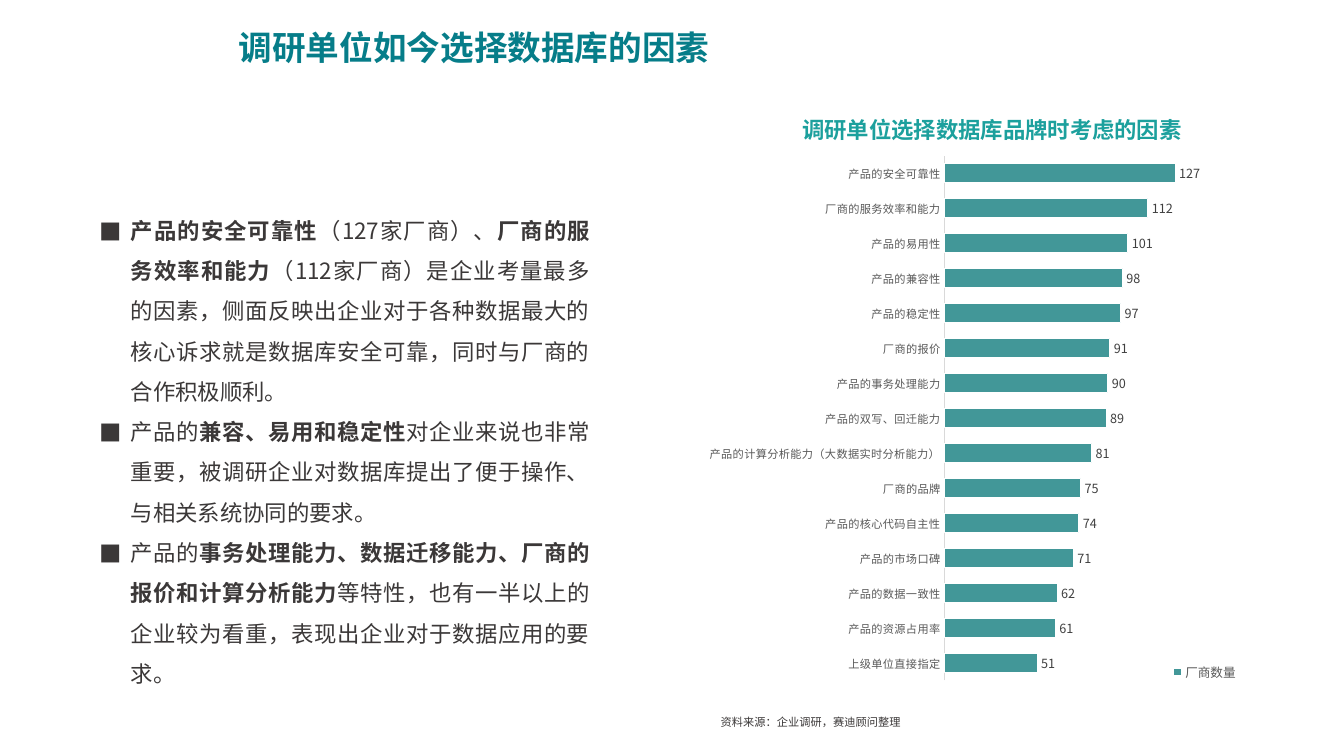
"""Build the slide on the factors behind database selection, with its bar chart."""
from dataclasses import dataclass

from lxml import etree
from pptx import Presentation
from pptx.chart.data import CategoryChartData
from pptx.dml.color import RGBColor
from pptx.enum.chart import XL_CHART_TYPE as ChartType, XL_LABEL_POSITION as LabelPosition
from pptx.enum.chart import XL_LEGEND_POSITION as LegendPosition, XL_TICK_LABEL_POSITION as TickLabels
from pptx.enum.chart import XL_TICK_MARK as TickMark
from pptx.enum.text import MSO_ANCHOR as Anchor, MSO_AUTO_SIZE as AutoSize, PP_ALIGN as Align
from pptx.oxml import parse_xml
from pptx.oxml.ns import nsdecls, qn
from pptx.util import Inches, Pt


@dataclass(frozen=True)
class Theme:
    font: str = "Noto Sans CJK SC"
    heading: str = "067D89"
    chart_heading: str = "1CA09D"
    body: str = "3B3838"
    bar: str = "429798"
    bar_edge: str = "FFFFFF"
    axis_text: str = "595959"
    axis_line: str = "D9D9D9"
    value_text: str = "404040"
    chart_text: str = "000000"
    heading_size: int = 24
    body_size: int = 16
    chart_size: int = 9
    small_size: int = 8


theme = Theme()


def style_font(font, size, color, bold=None):
    font.name, font.size, font.bold = theme.font, Pt(size), bold
    font.color.rgb = RGBColor.from_string(color)


def add_text(paragraphs, *, at, size, color, bold=False, align=Align.JUSTIFY,
             spacing=None, bullet=None, anchor=Anchor.TOP, fit=AutoSize.SHAPE_TO_FIT_TEXT):
    """Write paragraphs of runs; a run marked with a leading * is bold."""
    frame = slide.shapes.add_textbox(*map(Inches, at)).text_frame
    frame.word_wrap, frame.auto_size, frame.vertical_anchor = True, fit, anchor
    for index, runs in enumerate(paragraphs):
        paragraph = frame.add_paragraph() if index else frame.paragraphs[0]
        paragraph.alignment = align
        if spacing:
            paragraph.line_spacing = spacing
        if bullet:
            properties = paragraph._p.get_or_add_pPr()
            properties.set("marL", str(Inches(0.31)))
            properties.set("indent", str(Inches(-0.31)))
            etree.SubElement(properties, qn("a:buFont"), typeface=theme.font)
            etree.SubElement(properties, qn("a:buChar"), char=bullet)
        for text in runs:
            run = paragraph.add_run()
            run.text = text.removeprefix("*")
            style_font(run.font, size, color, bold or text.startswith("*"))


deck = Presentation()
deck.slide_width, deck.slide_height = Inches(13.33), Inches(7.5)
slide = deck.slides.add_slide(deck.slide_layouts[6])

add_text([["调研单位如今选择数据库的因素"]], at=(2.27, 0.22, 10.57, 0.5),
         size=theme.heading_size, color=theme.heading, bold=True)

findings = [
    ["*产品的安全可靠性", "（127家厂商）、", "*厂商的服务效率和能力",
     "（112家厂商）是企业考量最多的因素，侧面反映出企业对于各种数据最大的核心诉求就是数据库安全可靠，"
     "同时与厂商的合作积极顺利。"],
    ["产品的", "*兼容、易用和稳定性",
     "对企业来说也非常重要，被调研企业对数据库提出了便于操作、与相关系统协同的要求。"],
    ["产品的", "*事务处理能力、数据迁移能力、厂商的报价和计算分析能力",
     "等特性，也有一半以上的企业较为看重，表现出企业对于数据应用的要求。"],
]
add_text(findings, at=(0.89, 1.97, 5.06, 4.9), size=theme.body_size, color=theme.body,
         spacing=1.5, bullet="■")

add_text([["调研单位选择数据库品牌时考虑的因素"]], at=(7.43, 1.13, 4.82, 0.31),
         size=theme.body_size, color=theme.chart_heading, bold=True, align=Align.CENTER,
         anchor=Anchor.MIDDLE, fit=AutoSize.NONE)

vendors_by_factor = {
    "上级单位直接指定": 51,
    "产品的资源占用率": 61,
    "产品的数据一致性": 62,
    "产品的市场口碑": 71,
    "产品的核心代码自主性": 74,
    "厂商的品牌": 75,
    "产品的计算分析能力（大数据实时分析能力）": 81,
    "产品的双写、回迁能力": 89,
    "产品的事务处理能力": 90,
    "厂商的报价": 91,
    "产品的稳定性": 97,
    "产品的兼容性": 98,
    "产品的易用性": 101,
    "厂商的服务效率和能力": 112,
    "产品的安全可靠性": 127,
}
factor_data = CategoryChartData(number_format="0_ ")
factor_data.categories = list(vendors_by_factor)
factor_data.add_series("厂商数量", list(vendors_by_factor.values()))
chart = slide.shapes.add_chart(ChartType.BAR_CLUSTERED, *map(Inches, (6.91, 1.43, 6, 5.66)),
                               factor_data).chart
chart.has_title = False
style_font(chart.font, theme.chart_size, theme.chart_text)

factor_axis, count_axis = chart.category_axis, chart.value_axis
for axis, size in ((factor_axis, theme.small_size), (count_axis, theme.chart_size)):
    axis.major_tick_mark = axis.minor_tick_mark = TickMark.NONE
    axis.has_major_gridlines = False
    style_font(axis.tick_labels.font, size, theme.axis_text)
factor_axis.format.line.color.rgb = RGBColor.from_string(theme.axis_line)
factor_axis.format.line.width = Pt(0.75)
count_axis.format.line.fill.background()
count_axis.tick_label_position = TickLabels.NONE
count_axis.minimum_scale, count_axis.maximum_scale = 0, 140

bars = chart.plots[0]
bars.gap_width, bars.vary_by_categories = 80, False
vendor_count = bars.series[0]
vendor_count.format.fill.solid()
vendor_count.format.fill.fore_color.rgb = RGBColor.from_string(theme.bar)
vendor_count.format.line.color.rgb = RGBColor.from_string(theme.bar_edge)
vendor_count.format.line.width = Pt(0.75)
counts = vendor_count.data_labels
counts.show_value, counts.position = True, LabelPosition.OUTSIDE_END
counts.number_format, counts.number_format_is_linked = "0_ ", False
style_font(counts.font, theme.chart_size, theme.value_text)

chart.has_legend = True
chart.legend.position, chart.legend.include_in_layout = LegendPosition.RIGHT, False
style_font(chart.legend.font, theme.chart_size, theme.axis_text)

plot_area = chart.element.find(".//" + qn("c:plotArea"))
legend_position = chart.element.find(".//" + qn("c:legendPos"))
for old_layout in plot_area.findall(qn("c:layout")):
    plot_area.remove(old_layout)
for old_layout in legend_position.getparent().findall(qn("c:layout")):
    legend_position.getparent().remove(old_layout)
for target, place, (x, y, w, h) in (
        ("inner", lambda layout: plot_area.insert(0, layout), (0.41, 0.02, 0.42, 0.92)),
        (None, legend_position.addnext, (0.77, 0.9, 0.14, 0.05))):
    layout = parse_xml(f"<c:layout {nsdecls('c')}><c:manualLayout/></c:layout>")
    settings = [("layoutTarget", target)] if target else []
    settings += [("xMode", "edge"), ("yMode", "edge"), ("x", x), ("y", y), ("w", w), ("h", h)]
    for tag, value in settings:
        etree.SubElement(layout[0], qn(f"c:{tag}"), val=str(value))
    place(layout)

add_text([["资料来源：企业调研，赛迪顾问整理"]], at=(7.05, 6.98, 2.18, 0.23),
         size=theme.small_size, color=theme.body, align=Align.LEFT, spacing=1.5)

for root in (slide.element, chart.element):
    for latin in list(root.iter(qn("a:latin"))):
        latin.addnext(parse_xml(f'<a:ea {nsdecls("a")} typeface="{theme.font}"/>'))

deck.save("out.pptx")
